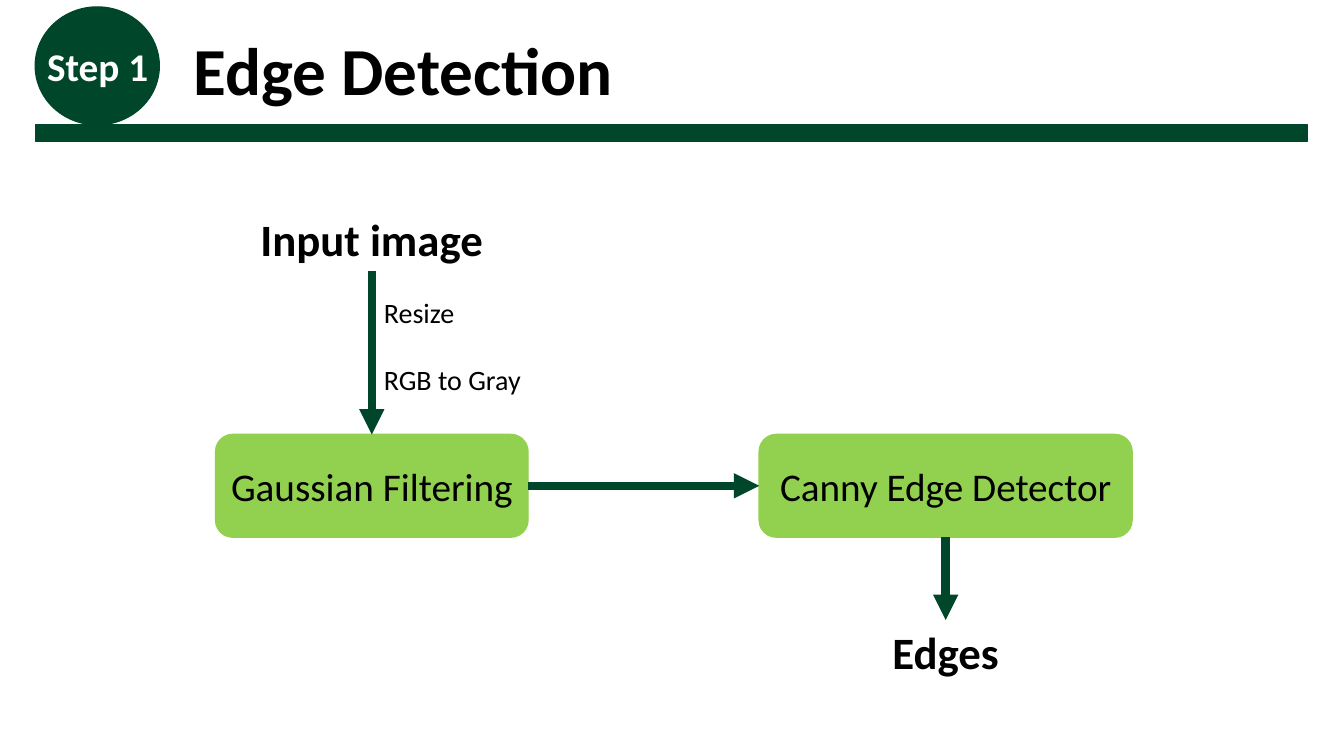
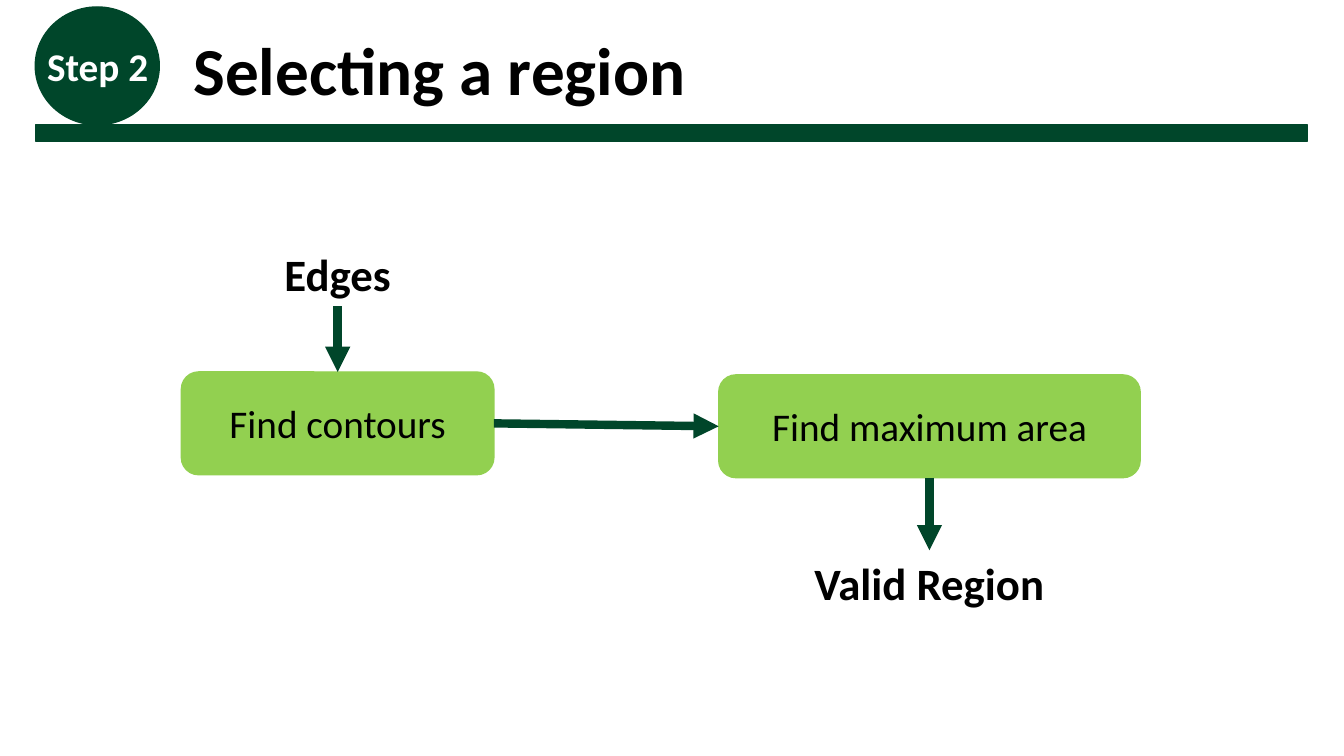
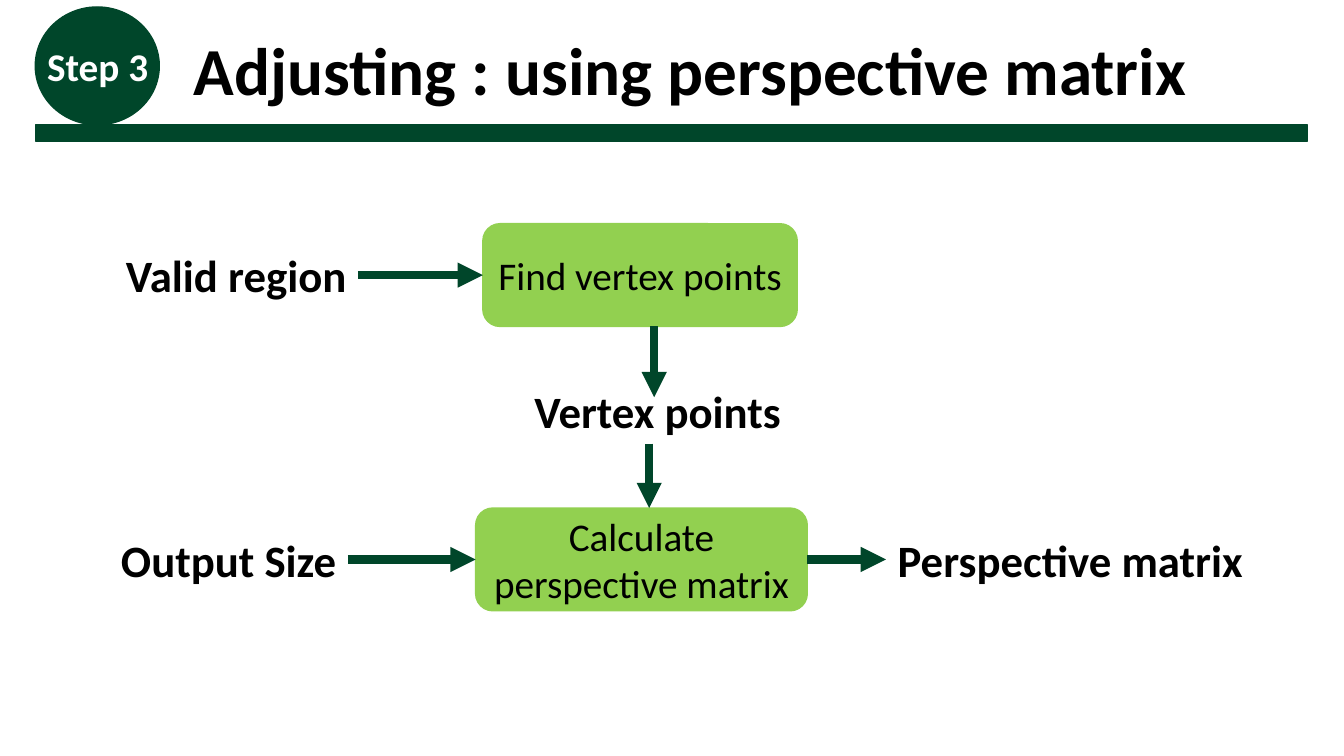
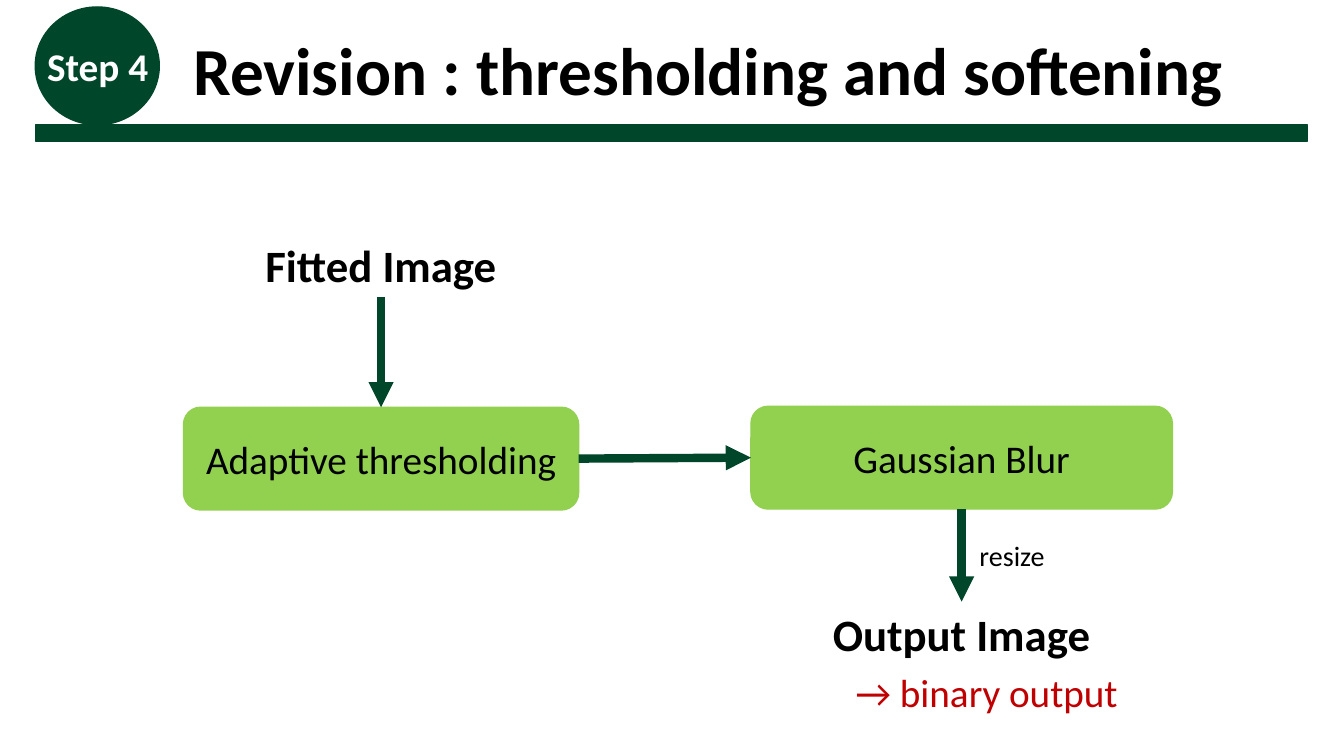
import pptx
import pptx.util
import pptx.dml.color
import pptx.enum.shapes
import pptx.enum.text
import pptx.oxml
import lxml.etree

Pt = pptx.util.Pt
MSO = pptx.enum.shapes.MSO_SHAPE
ALIGN = pptx.enum.text.PP_ALIGN
ANCHOR = pptx.enum.text.MSO_ANCHOR
HUE = {"dark": "00462A", "lime": "92D050", "black": "000000",
       "white": "FFFFFF", "red": "C00000"}
FONT = "Calibri"
BOX_H, LABEL_H = 73.4, 46
TOP, LEFT, BOTTOM, RIGHT = range(4)


def write(shape, text, size=28, hue="black", bold=False, align=ALIGN.LEFT,
          anchor=ANCHOR.TOP, wrap=False, gap=0):
    frame = shape.text_frame
    frame.auto_size = pptx.enum.text.MSO_AUTO_SIZE.NONE
    frame.word_wrap = wrap
    frame.vertical_anchor = anchor
    for i, line in enumerate(text.split("\n")):
        para = frame.add_paragraph() if i else frame.paragraphs[0]
        para.alignment = align
        para.space_before = Pt(gap if i else 0)
        run = para.add_run()
        run.text = line
        font = run.font
        font.name, font.size, font.bold = FONT, Pt(size), bold
        font.color.rgb = pptx.dml.color.RGBColor.from_string(HUE[hue])


def draw(slide, kind, area, hue):
    shape = slide.shapes.add_shape(kind, *map(Pt, area))
    shape.shadow.inherit = False
    color = pptx.dml.color.RGBColor.from_string(HUE[hue])
    shape.fill.solid()
    shape.fill.fore_color.rgb = color
    shape.line.color.rgb = color
    shape.line.width = Pt(1)
    return shape


# Boxes and labels: text, centre x, top, width
# Links: start, side, end, side; loose arrows: x, y, x, y
# Notes: text, left, top, width, height, format
steps = [
    {"title": "Edge Detection", "width": 317.5,
     "boxes": [("Gaussian Filtering", 265.6, 310.3, 223.2),
               ("Canny Edge Detector", 675.5, 310.3, 266.4)],
     "labels": [("Input image", 265.6, 147.4, 175),
                ("Edges", 675.5, 442.8, 91.4)],
     "links": [("Input image", BOTTOM, "Gaussian Filtering", TOP),
               ("Gaussian Filtering", RIGHT, "Canny Edge Detector", LEFT),
               ("Canny Edge Detector", BOTTOM, "Edges", TOP)],
     "notes": [("Resize\nRGB to Gray", 267.1, 207.4, 113, 80,
                {"size": 20, "gap": 24})]},
    {"title": "Selecting a region", "width": 370,
     "boxes": [("Find contours", 241.2, 265.7, 223.2),
               ("Find maximum area", 663.9, 267.8, 301)],
     "labels": [("Edges", 241.2, 172.8, 91.4),
                ("Valid Region", 663.9, 393.1, 180)],
     "links": [("Edges", BOTTOM, "Find contours", TOP),
               ("Find contours", RIGHT, "Find maximum area", LEFT),
               ("Find maximum area", BOTTOM, "Valid Region", TOP)]},
    {"title": "Adjusting : using perspective matrix", "width": 731.5,
     "boxes": [("Find vertex points", 457.2, 159.8, 224.6),
               ("Calculate perspective matrix", 458.2, 362.9, 236.9)],
     "labels": [("Valid region", 168.8, 173.5, 173.5),
                ("Vertex points", 469.8, 270.7, 192.2),
                ("Output Size", 163.4, 376.6, 170),
                ("Perspective matrix", 764.6, 376.6, 263.5)],
     "links": [("Valid region", RIGHT, "Find vertex points", LEFT),
               ("Output Size", RIGHT, "Calculate perspective matrix", LEFT),
               ("Calculate perspective matrix", RIGHT,
                "Perspective matrix", LEFT)],
     "loose": [(467.3, 233.2, 467.3, 283.7), (463.7, 316.8, 463.7, 362.9)]},
    {"title": "Revision : thresholding and softening", "width": 758.9,
     "boxes": [("Adaptive thresholding", 272.2, 290.9, 282.2),
               ("Gaussian Blur", 686.9, 290.2, 301)],
     "labels": [("Fitted Image", 272.2, 166.3, 182.2),
                ("Output Image", 686.9, 429.8, 200.2)],
     "links": [("Fitted Image", BOTTOM, "Adaptive thresholding", TOP),
               ("Adaptive thresholding", RIGHT, "Gaussian Blur", LEFT),
               ("Gaussian Blur", BOTTOM, "Output Image", TOP)],
     "notes": [("resize", 692.6, 380.9, 61.9, 31.7, {"size": 20}),
               ("→ binary output", 604.1, 473.8, 203.8, 41, {"hue": "red"})]},
]

deck = pptx.Presentation()
deck.slide_width, deck.slide_height = Pt(960), Pt(540)

for number, step in enumerate(steps, 1):
    slide = deck.slides.add_slide(deck.slide_layouts[5])

    # Header
    draw(slide, MSO.RECTANGLE, (25.2, 89.3, 908.6, 11.5), "dark")
    draw(slide, MSO.OVAL, (25.2, 5, 88.6, 84.2), "dark")
    badge = slide.shapes.add_textbox(*map(Pt, (26.6, 26.6, 87.8, 41)))
    write(badge, f"Step {number}", hue="white", bold=True)
    title = slide.shapes.title
    title.left, title.top = Pt(131), Pt(16.6)
    title.width, title.height = Pt(step["width"]), Pt(65.5)
    write(title, step["title"], size=48, bold=True)

    # Boxes and labels
    nodes = {}
    for text, mid, top, wide in step["boxes"]:
        box = draw(slide, MSO.ROUNDED_RECTANGLE,
                   (mid - wide / 2, top, wide, BOX_H), "lime")
        box.text_frame.margin_left = box.text_frame.margin_right = Pt(4)
        write(box, text, align=ALIGN.CENTER, anchor=ANCHOR.MIDDLE, wrap=True)
        nodes[text] = box
    for text, mid, top, wide in step["labels"]:
        label = slide.shapes.add_textbox(
            *map(Pt, (mid - wide / 2, top, wide, LABEL_H)))
        write(label, text, size=32, bold=True, align=ALIGN.CENTER)
        nodes[text] = label

    # Arrows
    arrows = []
    for ends in step.get("loose", []) + [(0, 0, 0, 0)] * len(step["links"]):
        arrow = slide.shapes.add_connector(
            pptx.enum.shapes.MSO_CONNECTOR.STRAIGHT, *map(Pt, ends))
        arrow.line.width = Pt(6)
        arrow.line.color.rgb = pptx.dml.color.RGBColor.from_string(HUE["dark"])
        tail = lxml.etree.SubElement(arrow.line._get_or_add_ln(),
                                     pptx.oxml.ns.qn("a:tailEnd"))
        tail.set("type", "triangle")
        lxml.etree.SubElement(arrow._element.spPr,
                              pptx.oxml.ns.qn("a:effectLst"))
        arrows.append(arrow)
    joined = arrows[len(step.get("loose", [])):]
    for arrow, (start, out, end, into) in zip(joined, step["links"]):
        arrow.begin_connect(nodes[start], out)
        arrow.end_connect(nodes[end], into)

    # Notes
    for text, *area, style in step.get("notes", []):
        write(slide.shapes.add_textbox(*map(Pt, area)), text, **style)

deck.save("out.pptx")
